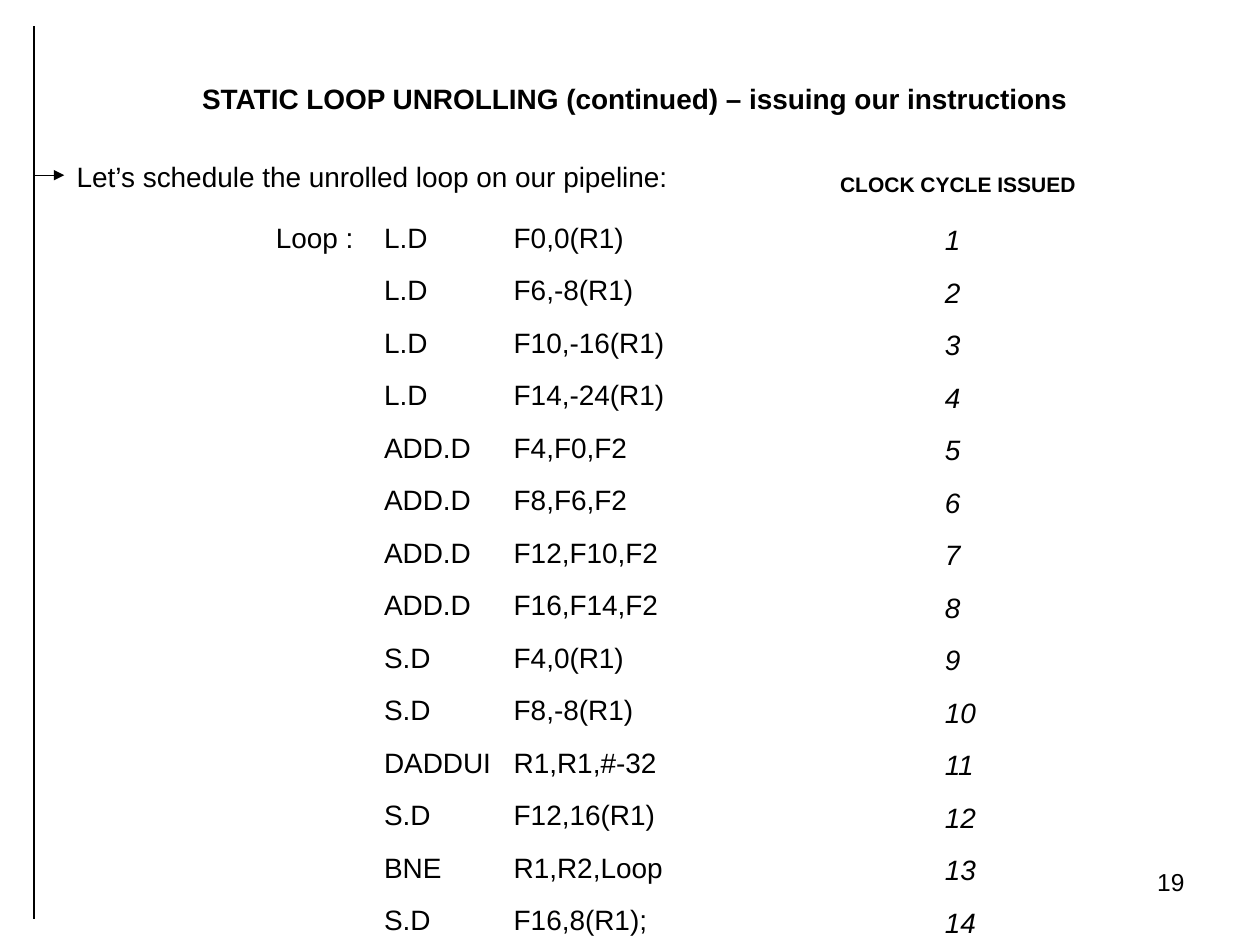
from dataclasses import dataclass

import pptx
import pptx.dml.color
import pptx.enum.shapes
import pptx.enum.text
import pptx.oxml
import pptx.oxml.ns
import pptx.util

Pt = pptx.util.Pt
Align = pptx.enum.text.PP_ALIGN


@dataclass(frozen=True)
class Theme:
    font: str = "Arial"
    ink: pptx.dml.color.RGBColor = pptx.dml.color.RGBColor(0, 0, 0)
    body: float = 16
    label: float = 12
    page_number: float = 14
    line: float = 0.75
    row_gap: float = 10.8


@dataclass(frozen=True)
class TextBlock:
    lines: list[str]
    left: float
    top: float
    width: float
    height: float
    size: float
    bold: bool = False
    italic: bool = False
    wrap: bool = True
    align: Align = Align.LEFT


@dataclass(frozen=True)
class Rule:
    start: tuple[float, float]
    end: tuple[float, float]
    arrow: bool = False


@dataclass(frozen=True)
class Instruction:
    operation: str
    operands: str


THEME = Theme()
MARGIN_X = 19.4
ROWS_TOP, ROWS_HEIGHT, LINE_HEIGHT = 122.4, 406, 26.6

INSTRUCTIONS = [
    Instruction("L.D", "F0,0(R1)"),
    Instruction("L.D", "F6,-8(R1)"),
    Instruction("L.D", "F10,-16(R1)"),
    Instruction("L.D", "F14,-24(R1)"),
    Instruction("ADD.D", "F4,F0,F2"),
    Instruction("ADD.D", "F8,F6,F2"),
    Instruction("ADD.D", "F12,F10,F2"),
    Instruction("ADD.D", "F16,F14,F2"),
    Instruction("S.D", "F4,0(R1)"),
    Instruction("S.D", "F8,-8(R1)"),
    Instruction("DADDUI", "R1,R1,#-32"),
    Instruction("S.D", "F12,16(R1)"),
    Instruction("BNE", "R1,R2,Loop"),
    Instruction("S.D", "F16,8(R1);"),
]
OPERATIONS = [instruction.operation for instruction in INSTRUCTIONS]
OPERANDS = [instruction.operands for instruction in INSTRUCTIONS]
CYCLES = [str(cycle) for cycle in range(1, len(INSTRUCTIONS) + 1)]

TITLE = TextBlock(
    ["STATIC LOOP UNROLLING (continued) – issuing our instructions"],
    36.7, 43.2, 652.3, LINE_HEIGHT, THEME.body, bold=True, align=Align.CENTER)

BLOCKS = [
    TextBlock(["19"], 516.2, 491.8, 167.8, 37.4, THEME.page_number, align=Align.RIGHT),
    TextBlock(["Let’s schedule the unrolled loop on our pipeline:"],
              36.7, 87.8, 640.8, LINE_HEIGHT, THEME.body),
    TextBlock(["Loop :"], 150.5, ROWS_TOP, 58.3, LINE_HEIGHT, THEME.body, wrap=False),
    TextBlock(OPERATIONS, 212.4, ROWS_TOP, 79.2, ROWS_HEIGHT, THEME.body),
    TextBlock(OPERANDS, 286.5, ROWS_TOP, 141.8, ROWS_HEIGHT, THEME.body),
    TextBlock(["CLOCK CYCLE ISSUED"], 473, 94.3, 164.2, 21.6, THEME.label, bold=True),
    TextBlock(CYCLES, 532.8, 123.8, 48.2, ROWS_HEIGHT, THEME.body, italic=True),
]

RULES = [
    Rule((MARGIN_X, 15.1), (MARGIN_X, 190.8)),
    Rule((MARGIN_X, 190.8), (MARGIN_X, 524.9)),
    Rule((MARGIN_X, 100.1), (36.7, 100.1), arrow=True),
]


def fill_box(box: pptx.shapes.autoshape.Shape, block: TextBlock) -> None:
    """Place a text shape and write the block's lines into it."""
    box.left, box.top = Pt(block.left), Pt(block.top)
    box.width, box.height = Pt(block.width), Pt(block.height)
    frame = box.text_frame
    frame.word_wrap = block.wrap
    frame.auto_size = pptx.enum.text.MSO_AUTO_SIZE.NONE
    frame.vertical_anchor = pptx.enum.text.MSO_ANCHOR.TOP
    frame.text = "\n".join(block.lines)
    for paragraph in frame.paragraphs:
        paragraph.alignment = block.align
        paragraph.line_spacing = 1.0
        paragraph.space_before = Pt(0 if paragraph is frame.paragraphs[0] else THEME.row_gap)
        font = paragraph.font
        font.name, font.size = THEME.font, Pt(block.size)
        font.bold, font.italic = block.bold, block.italic
        font.color.rgb = THEME.ink


def draw_rule(page: pptx.slide.Slide, rule: Rule) -> None:
    """Draw a thin line, with an arrowhead at its end if asked."""
    connector = page.shapes.add_connector(
        pptx.enum.shapes.MSO_CONNECTOR.STRAIGHT,
        *(Pt(length) for length in rule.start + rule.end))
    connector.line.color.rgb = THEME.ink
    connector.line.width = Pt(THEME.line)
    if rule.arrow:
        head = pptx.oxml.parse_xml(
            f'<a:tailEnd {pptx.oxml.ns.nsdecls("a")} type="triangle"/>')
        connector.line._get_or_add_ln().append(head)
    connector._element.spPr.append(
        pptx.oxml.parse_xml(f'<a:effectLst {pptx.oxml.ns.nsdecls("a")}/>'))


def main() -> None:
    deck = pptx.Presentation()
    deck.slide_width, deck.slide_height = Pt(720), Pt(540)
    page = deck.slides.add_slide(deck.slide_layouts.get_by_name("Title Only"))

    # Title
    fill_box(page.shapes.title, TITLE)

    # Margin line and its arrow
    for rule in RULES:
        draw_rule(page, rule)

    # Schedule columns, labels and page number
    for block in BLOCKS:
        fill_box(page.shapes.add_textbox(0, 0, 0, 0), block)

    deck.save("out.pptx")


if __name__ == "__main__":
    main()
